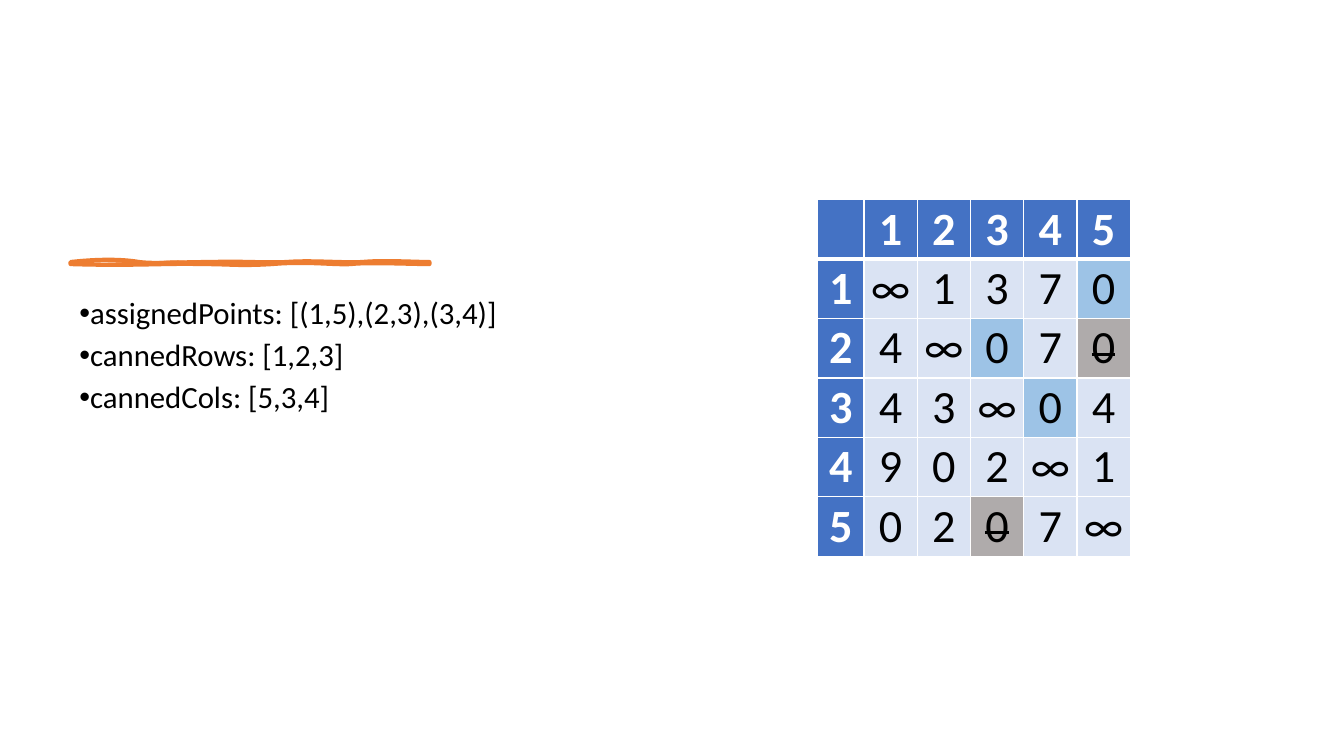
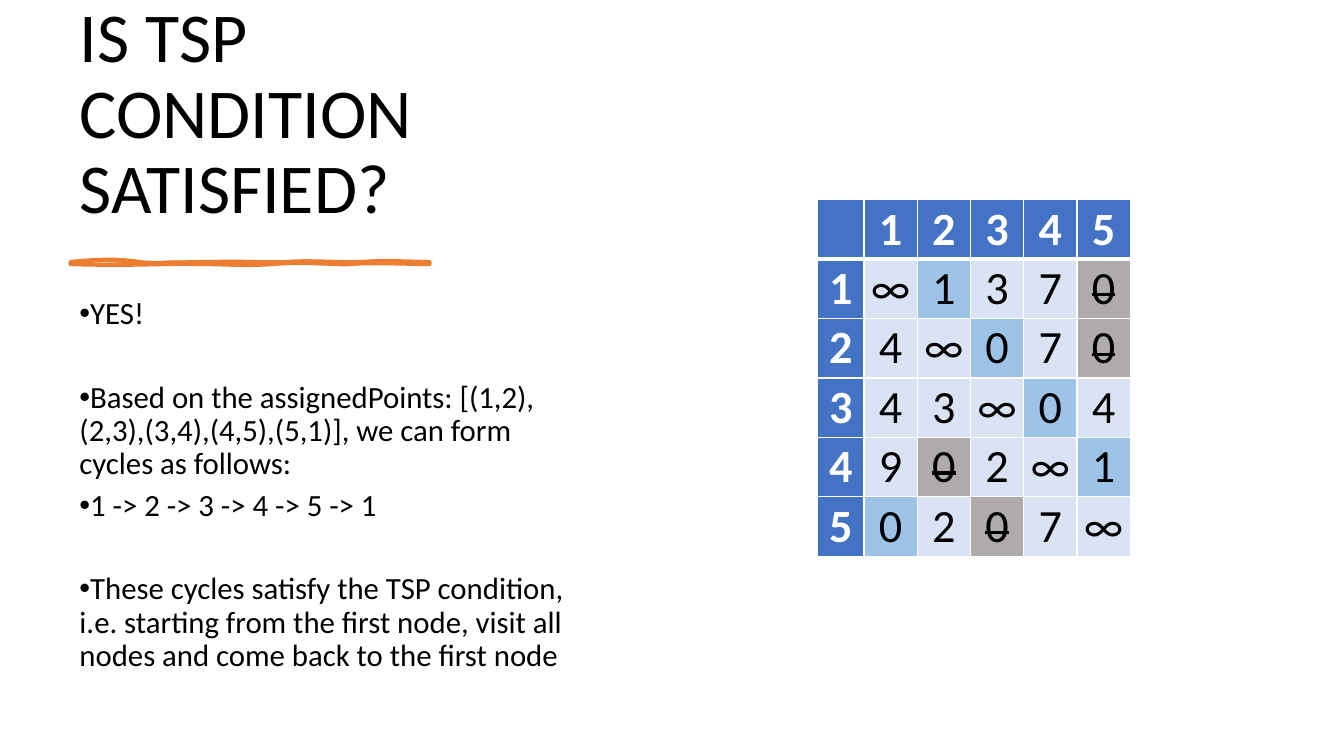
import pptx
import pptx.dml.color
import pptx.enum.text
import pptx.oxml
import pptx.oxml.ns
import pptx.util

Inches = pptx.util.Inches
Pt = pptx.util.Pt
ALIGN = pptx.enum.text.PP_ALIGN
ANCHOR = pptx.enum.text.MSO_ANCHOR
qn = pptx.oxml.ns.qn

FONT = "Calibri"
BLACK, WHITE, ORANGE = "000000", "FFFFFF", "ED7D31"
HEADER, PLAIN, ASSIGNED, STRUCK = "4472C4", "DAE3F3", "9DC3E6", "AFABAB"
LEFT, TEXT_WIDTH = 0.69, 5.27
TABLE_WIDTH, LABEL_WIDTH, ROW_HEIGHT = 3.1, 0.46, 0.59
LINE_SPACING = 0.9
PARAGRAPH_GAP = 29.8

COSTS = ["∞1370", "4∞070", "43∞04", "902∞1", "0207∞"]

STROKE_EDGE = [
    (0.7, 2.6), (0.97, 2.57), (1.21, 2.57), (1.38, 2.6),
    (1.55, 2.62), (1.77, 2.6), (2.09, 2.6),
    (2.41, 2.59), (2.6, 2.61), (2.84, 2.6),
    (3.08, 2.58), (3.39, 2.61), (3.59, 2.6),
    (3.79, 2.58), (4.12, 2.6), (4.26, 2.6),
    (4.26, 2.6), (4.26, 2.61), (4.26, 2.62),
    (4.08, 2.62), (3.64, 2.6), (3.48, 2.62),
    (3.32, 2.63), (3.04, 2.59), (2.7, 2.62),
    (2.35, 2.64), (2.31, 2.62), (1.99, 2.62),
    (1.66, 2.61), (1.32, 2.64), (0.7, 2.62),
    (0.7, 2.61), (0.7, 2.6), (0.7, 2.6),
]
STROKE_BODY = [
    (0.7, 2.6), (1.02, 2.62), (1.1, 2.6), (1.38, 2.6),
    (1.66, 2.59), (1.69, 2.57), (1.99, 2.6),
    (2.28, 2.62), (2.61, 2.61), (2.77, 2.6),
    (2.93, 2.58), (3.27, 2.62), (3.44, 2.6),
    (3.62, 2.57), (3.97, 2.63), (4.26, 2.6),
    (4.26, 2.6), (4.26, 2.61), (4.26, 2.62),
    (4.12, 2.61), (3.72, 2.64), (3.55, 2.62),
    (3.38, 2.59), (3.09, 2.62), (2.77, 2.62),
    (2.44, 2.61), (2.4, 2.6), (2.16, 2.62),
    (1.93, 2.63), (1.79, 2.61), (1.45, 2.62),
    (1.11, 2.62), (0.92, 2.61), (0.7, 2.62),
    (0.7, 2.61), (0.7, 2.6), (0.7, 2.6),
]


def rgb(color):
    return pptx.dml.color.RGBColor.from_string(color)


def make(tag, attributes=""):
    return pptx.oxml.parse_xml(f'<a:{tag} {pptx.oxml.ns.nsdecls("a")} {attributes}/>')


def add_run(p, text, size, color=BLACK, bold=False, strike=False):
    r = p.add_run()
    r.text = text
    r.font.name = FONT
    r.font.size = Pt(size)
    r.font.bold = bold
    r.font.color.rgb = rgb(color)
    if strike:
        r._r.get_or_add_rPr().set("strike", "sngStrike")


def curve_segments(outline):
    lines = outline.findall(qn("a:lnTo"))
    for i in range(0, len(lines), 3):
        curve = make("cubicBezTo")
        lines[i].addprevious(curve)
        for line in lines[i:i + 3]:
            curve.append(line[0])
            outline.remove(line)


def split_contours(sp):
    edge = next(sp._element.iter(qn("a:path")))
    curve_segments(edge)
    body = make("path", f'w="{edge.get("w")}" h="{edge.get("h")}" stroke="0"')
    edge.set("fill", "none")
    edge.addnext(body)
    children = list(edge)
    second_start = edge.findall(qn("a:moveTo"))[1]
    for child in children[children.index(second_start):]:
        body.append(child)


def add_brush_stroke(slide):
    edge, body = ([(Inches(x), Inches(y)) for x, y in points]
                  for points in (STROKE_EDGE, STROKE_BODY))
    builder = slide.shapes.build_freeform(*edge[0])
    builder.add_line_segments(edge[1:], close=True)
    builder.move_to(*body[0])
    builder.add_line_segments(body[1:], close=True)
    sp = builder.convert_to_shape()
    split_contours(sp)
    sp.shadow.inherit = False
    sp.fill.solid()
    sp.fill.fore_color.rgb = rgb(ORANGE)
    sp.line.color.rgb = rgb(ORANGE)
    sp.line.width = Pt(3)


def set_title(slide, text):
    sp = slide.shapes.title
    sp.left, sp.top = Inches(LEFT), Inches(0.7)
    sp.width, sp.height = Inches(TEXT_WIDTH), Inches(1.62)
    tf = sp.text_frame
    tf.word_wrap = True
    tf.auto_size = pptx.enum.text.MSO_AUTO_SIZE.NONE
    tf.vertical_anchor = ANCHOR.BOTTOM
    p = tf.paragraphs[0]
    p.alignment = ALIGN.LEFT
    p.line_spacing = LINE_SPACING
    add_run(p, text, 50)


def add_bullets(slide, items):
    sp = slide.shapes.add_textbox(Inches(LEFT), Inches(2.91), Inches(TEXT_WIDTH), Inches(3.88))
    tf = sp.text_frame
    tf.word_wrap = True
    for i, (text, space_before) in enumerate(items):
        p = tf.add_paragraph() if i else tf.paragraphs[0]
        p.line_spacing = LINE_SPACING
        if space_before:
            p.space_before = Pt(space_before)
        p.space_after = Pt(6)
        pPr = p._p.get_or_add_pPr()
        pPr.set("marL", "0")
        pPr.set("indent", str(Inches(-0.25)))
        pPr.append(make("buFont", 'typeface="Arial"'))
        pPr.append(make("buChar", 'char="•"'))
        add_run(p, text, 22)


def set_borders(cell, top, bottom):
    tcPr = cell._tc.get_or_add_tcPr()
    for side, width in (("L", 1), ("R", 1), ("T", top), ("B", bottom)):
        border = make(f"ln{side}", f'w="{Pt(width)}"')
        fill = make("solidFill")
        fill.append(make("srgbClr", f'val="{WHITE}"'))
        border.append(fill)
        tcPr.append(border)


def fill_cell(cell, row, text, fill):
    is_header = fill == HEADER
    cell.margin_left = cell.margin_right = cell.margin_top = cell.margin_bottom = 0
    cell.vertical_anchor = ANCHOR.MIDDLE
    set_borders(cell, 3 if row == 1 else 1, 3 if row == 0 else 1)
    cell.fill.solid()
    cell.fill.fore_color.rgb = rgb(fill)
    if text:
        p = cell.text_frame.paragraphs[0]
        p.alignment = ALIGN.CENTER
        add_run(p, text, 33, WHITE if is_header else BLACK, is_header, fill == STRUCK)


def add_cost_table(slide, assigned, struck):
    n = len(COSTS) + 1
    frame = slide.shapes.add_table(n, n, Inches(8.11), Inches(1.98),
                                   Inches(TABLE_WIDTH), Inches(n * ROW_HEIGHT))
    table = frame.table
    table.horz_banding = False
    value_width = (TABLE_WIDTH - LABEL_WIDTH) / len(COSTS)
    for i in range(n):
        table.columns[i].width = Inches(value_width if i else LABEL_WIDTH)
        table.rows[i].height = Inches(ROW_HEIGHT)
    for row in range(n):
        for col in range(n):
            if row and col:
                text = COSTS[row - 1][col - 1]
                fill = (ASSIGNED if (row, col) in assigned
                        else STRUCK if (row, col) in struck else PLAIN)
            else:
                text, fill = str(row or col or ""), HEADER
            fill_cell(table.cell(row, col), row, text, fill)


def add_step_slide(prs, title, items, assigned, struck):
    slide = prs.slides.add_slide(prs.slide_layouts[5 if title else 6])
    if title:
        set_title(slide, title)
    add_brush_stroke(slide)
    add_bullets(slide, items)
    add_cost_table(slide, assigned, struck)


def main():
    prs = pptx.Presentation()
    prs.slide_width, prs.slide_height = Inches(13.33), Inches(7.5)
    add_step_slide(
        prs, None,
        [("assignedPoints: [(1,5),(2,3),(3,4)]", 0),
         ("cannedRows: [1,2,3]", 0),
         ("cannedCols: [5,3,4]", 0)],
        assigned={(1, 5), (2, 3), (3, 4)},
        struck={(2, 5), (5, 3)})
    add_step_slide(
        prs, "IS TSP CONDITION SATISFIED?",
        [("YES!", 0),
         ("Based on the assignedPoints: [(1,2),(2,3),(3,4),(4,5),(5,1)], "
          "we can form cycles as follows:", PARAGRAPH_GAP),
         ("1 -> 2 -> 3 -> 4 -> 5 -> 1", 0),
         ("These cycles satisfy the TSP condition, i.e. starting from the first node, "
          "visit all nodes and come back to the first node", PARAGRAPH_GAP)],
        assigned={(1, 2), (2, 3), (3, 4), (4, 5), (5, 1)},
        struck={(1, 5), (2, 5), (4, 2), (5, 3)})
    prs.save("out.pptx")


if __name__ == "__main__":
    main()
